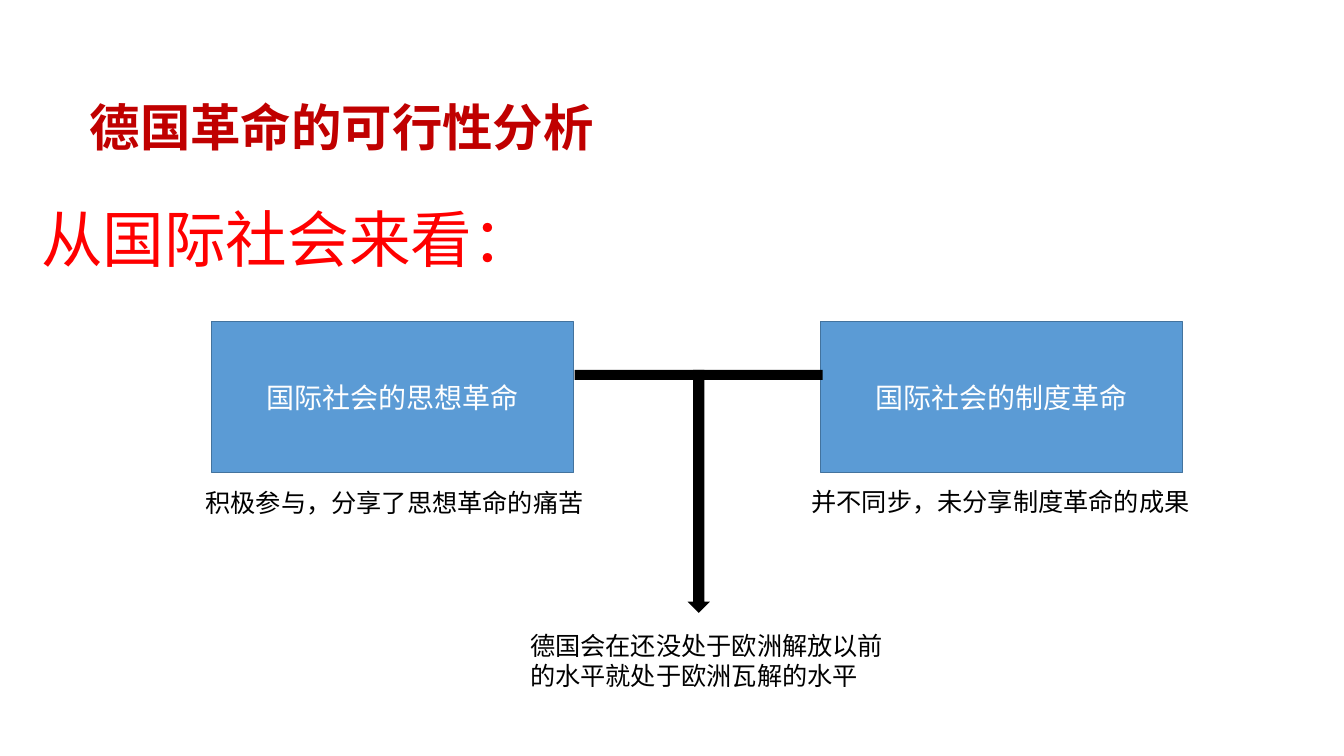
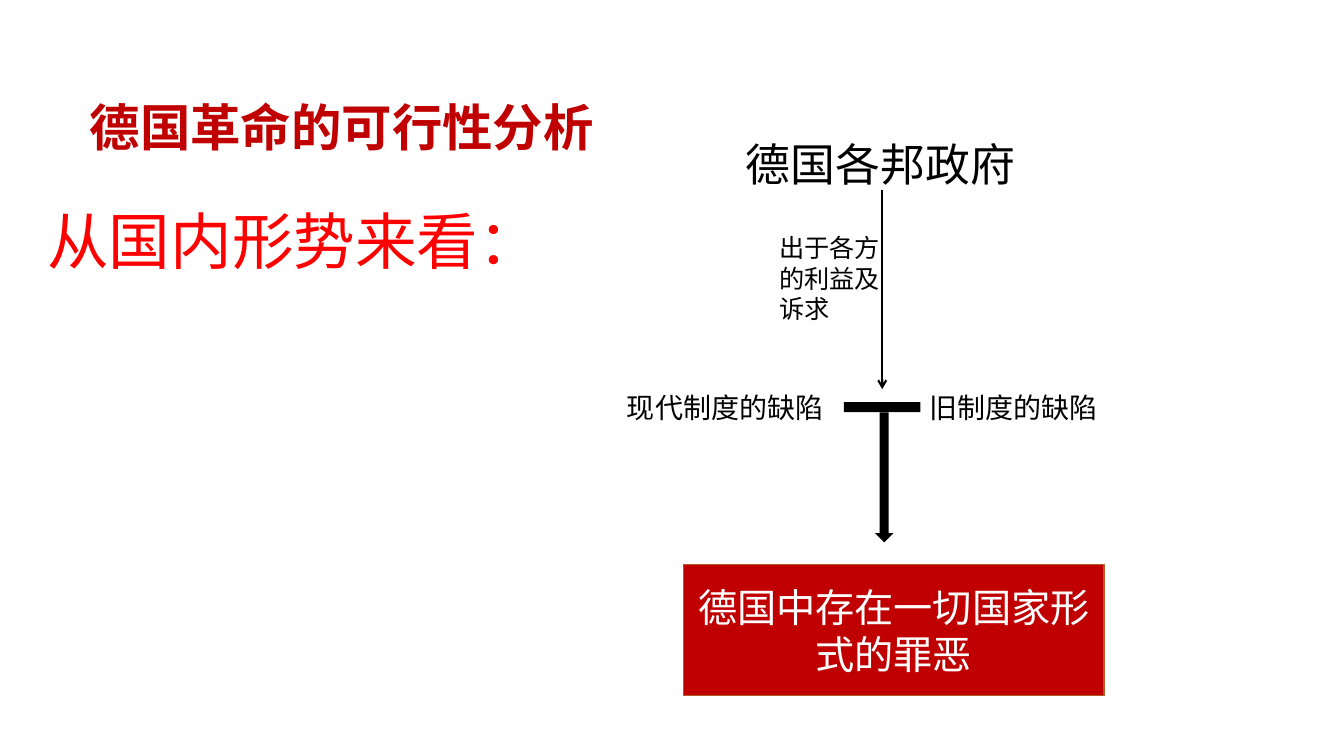
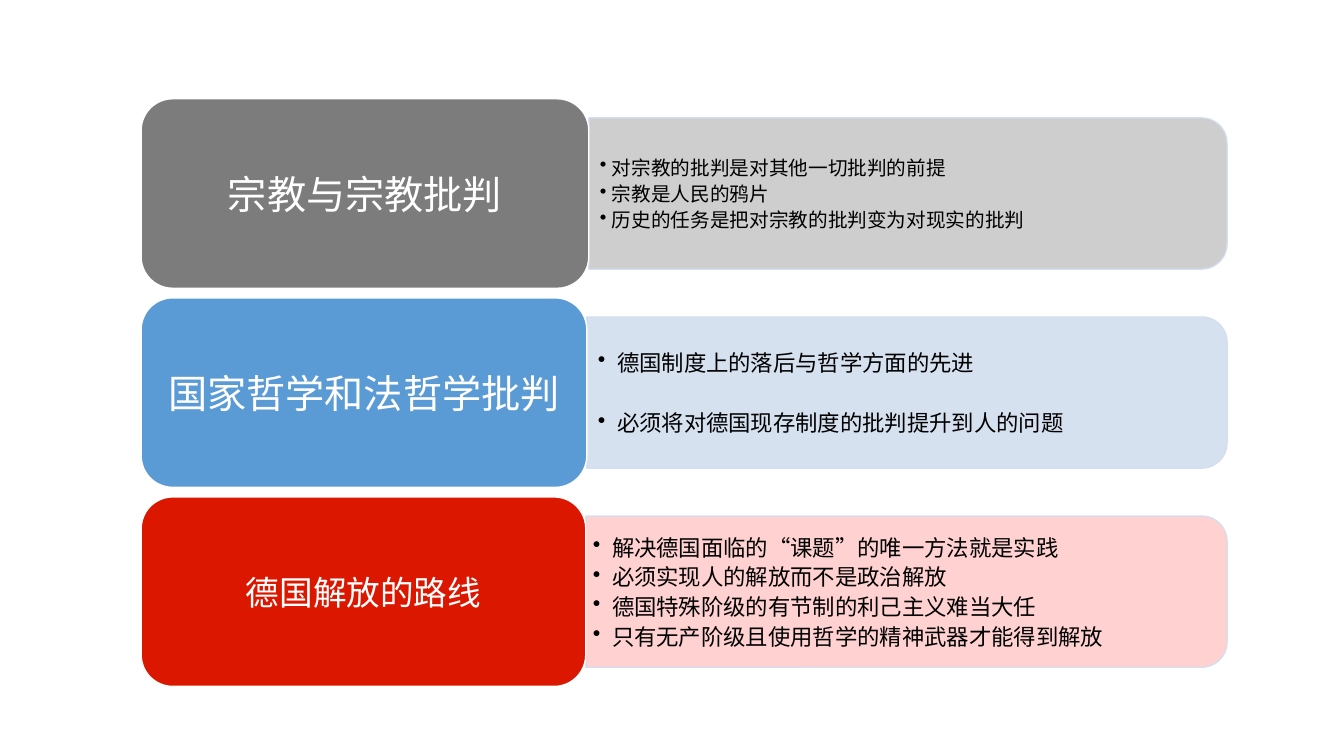
from lxml import etree
from pptx import Presentation
from pptx.dml.color import RGBColor
from pptx.enum import shapes, text
from pptx.oxml.ns import qn
from pptx.util import Inches, Pt

BLACK = RGBColor(0x00, 0x00, 0x00)
WHITE = RGBColor(0xFF, 0xFF, 0xFF)
DARK_RED = RGBColor(0xC0, 0x00, 0x00)
RED = RGBColor(0xFF, 0x00, 0x00)
BLUE = RGBColor(0x5B, 0x9B, 0xD5)
BLUE_EDGE = RGBColor(0x43, 0x73, 0x9E)
BROWN_EDGE = RGBColor(0xAF, 0x5C, 0x24)
PALE_BLUE = RGBColor(0xD2, 0xDE, 0xEF)
GREY = RGBColor(0x7C, 0x7C, 0x7C)
PALE_GREY = RGBColor(0xC9, 0xC9, 0xC9)
SCARLET = RGBColor(0xDC, 0x17, 0x00)
PINK = RGBColor(0xFF, 0xCC, 0xCC)

SC, JP, CALIBRI = "Noto Sans CJK SC", "Noto Sans CJK JP", "Calibri"
KIND = shapes.MSO_SHAPE
MIDDLE = text.MSO_ANCHOR.MIDDLE
CENTER = text.PP_ALIGN.CENTER

TITLE = "德国革命的可行性分析"

# box text, box left, caption, caption left, caption top
REVOLUTIONS = [
    ("国际社会的思想革命", 2.1, "积极参与，分享了思想革命的痛苦", 1.94, 4.79),
    ("国际社会的制度革命", 8.14, "并不同步，未分享制度革命的成果", 7.95, 4.78),
]
INTERNATIONAL_RESULT = "德国会在还没处于欧洲解放以前的水平就处于欧洲瓦解的水平"

# text, place, size, font
DOMESTIC_LABELS = [
    ("德国各邦政府", (7.3, 1.31, 4.44, 0.64), 32, JP),
    ("出于各方的利益及诉求", (7.63, 2.26, 1.21, 1.01), 18, SC),
    ("现代制度的缺陷", (6.12, 3.82, 2.25, 0.44), 20, JP),
    ("旧制度的缺陷", (9.12, 3.82, 1.99, 0.44), 20, JP),
]
DOMESTIC_RESULT = "德国中存在一切国家形式的罪恶"

THEMES = [
    dict(label="宗教与宗教批判", size=28, width=4.44, color=GREY, pale=PALE_GREY,
         points=["对宗教的批判是对其他一切批判的前提", "宗教是人民的鸦片",
                 "历史的任务是把对宗教的批判变为对现实的批判"],
         fmt=dict(size=14, indent=0.12, inset=0.11)),
    dict(label="国家哲学和法哲学批判", size=28, width=4.42, color=BLUE, pale=PALE_BLUE,
         points=["德国制度上的落后与哲学方面的先进",
                 "必须将对德国现存制度的批判提升到人的问题"],
         fmt=dict(size=16, indent=0.19, inset=0.11, gap=24)),
    dict(label="德国解放的路线", size=24, width=4.41, color=SCARLET, pale=PINK,
         points=["解决德国面临的“课题”的唯一方法就是实践", "必须实现人的解放而不是政治解放",
                 "德国特殊阶级的有节制的利己主义难当大任",
                 "只有无产阶级且使用哲学的精神武器才能得到解放"],
         fmt=dict(size=16, indent=0.19, inset=0.07)),
]


def write(sp, lines, size=18, font=SC, color=BLACK, bold=False, align=None, anchor=None,
          wrap=True, inset=0.1, inset_y=0.05, indent=0, gap=0):
    """Fill a shape with paragraphs; an indent makes them bulleted."""
    tf = sp.text_frame
    tf.word_wrap = wrap
    tf.vertical_anchor = anchor
    tf.margin_left = tf.margin_right = Inches(inset)
    tf.margin_top = tf.margin_bottom = Inches(inset_y)
    for i, line in enumerate(lines):
        p = tf.add_paragraph() if i else tf.paragraphs[0]
        p.alignment = align
        if gap:
            p.space_after = Pt(gap)
        if indent:
            pPr = p._p.get_or_add_pPr()
            pPr.set("marL", str(Inches(indent)))
            pPr.set("indent", str(-Inches(indent)))
            etree.SubElement(pPr, qn("a:buChar")).set("char", "•")
        r = p.add_run()
        r.text = line
        r.font.size, r.font.name, r.font.bold = Pt(size), font, bold
        r.font.color.rgb = color


def add_text(s, line, place, **fmt):
    sp = s.shapes.add_textbox(*map(Inches, place))
    write(sp, [line], **fmt)
    sp.text_frame.auto_size = text.MSO_AUTO_SIZE.SHAPE_TO_FIT_TEXT


def add_shape(s, kind, place, fill, edge=None):
    sp = s.shapes.add_shape(kind, *map(Inches, place))
    sp.shadow.inherit = False
    sp.fill.solid()
    sp.fill.fore_color.rgb = fill
    if edge is None:
        sp.line.fill.background()
    else:
        sp.line.color.rgb = edge
        sp.line.width = Pt(1)
    return sp


def add_box(s, line, place, fill, edge, kind=KIND.RECTANGLE, **fmt):
    sp = add_shape(s, kind, place, fill, edge)
    write(sp, [line], color=WHITE, align=CENTER, anchor=MIDDLE, **fmt)


def add_headings(s, subtitle, left, top):
    add_text(s, TITLE, (0.79, 0.9, 5.25, 0.71), size=36, color=DARK_RED, bold=True, wrap=False)
    add_text(s, subtitle, (left, top, 4.75, 0.84), size=44, color=RED)


def add_tee(s, bar, stem):
    add_shape(s, KIND.RECTANGLE, bar, BLACK)
    add_shape(s, KIND.DOWN_ARROW, stem, BLACK)


def add_thin_arrow(s, x, top, bottom):
    ln = s.shapes.add_connector(shapes.MSO_CONNECTOR.STRAIGHT,
                                Inches(x), Inches(top), Inches(x), Inches(bottom))
    ln.line.color.rgb = BLACK
    ln.line.width = Pt(1.5)
    etree.SubElement(ln.line._get_or_add_ln(), qn("a:tailEnd")).set("type", "arrow")
    etree.SubElement(ln._element.spPr, qn("a:effectLst"))


def add_panel(s, left, top, width, height, fill):
    """A translucent panel rounded on its right side: a top-rounded shape turned a quarter."""
    sp = add_shape(s, KIND.ROUND_2_SAME_RECTANGLE,
                   (left + (width - height) / 2, top - (width - height) / 2, height, width),
                   fill, PALE_BLUE)
    sp.rotation = 90
    for clr in sp._element.spPr.iter(qn("a:srgbClr")):
        etree.SubElement(clr, qn("a:alpha")).set("val", "90000")


def international_slide(s):
    add_headings(s, "从国际社会来看：", 0.31, 1.94)
    for label, left, caption, caption_left, caption_top in REVOLUTIONS:
        add_box(s, label, (left, 3.19, 3.59, 1.5), BLUE, BLUE_EDGE, size=20, font=CALIBRI)
        add_text(s, caption, (caption_left, caption_top, 4.44, 0.4))
    add_tee(s, (5.7, 3.67, 2.46, 0.1), (6.82, 3.67, 0.22, 2.41))
    add_text(s, INTERNATIONAL_RESULT, (5.16, 6.2, 3.72, 0.71))


def domestic_slide(s):
    add_headings(s, "从国内形势来看：", 0.37, 1.96)
    for label, place, size, font in DOMESTIC_LABELS:
        add_text(s, label, place, size=size, font=font)
    add_thin_arrow(s, 8.75, 1.89, 3.86)
    add_tee(s, (8.37, 3.99, 0.76, 0.1), (8.68, 4.09, 0.18, 1.29))
    add_box(s, DOMESTIC_RESULT, (6.78, 5.6, 4.17, 1.3), DARK_RED, BROWN_EDGE, size=28, font=JP)


def themes_slide(s):
    left, top, height, pitch, right = 1.4, 0.98, 1.88, 1.975, 12.17
    panel_height = 1.5
    for i, theme in enumerate(THEMES):
        y = top + i * pitch
        x = left + theme["width"]
        panel_top = y + (height - panel_height) / 2
        add_panel(s, x, panel_top, right - x, panel_height, theme["pale"])
        points = s.shapes.add_textbox(*map(Inches, (x, panel_top + 0.07, right - x - 0.07, 1.36)))
        write(points, theme["points"], **{"anchor": MIDDLE, "inset_y": 0.03, "gap": 2,
                                          **theme["fmt"]})
        add_box(s, theme["label"], (left, y, theme["width"], height), theme["color"], WHITE,
                kind=KIND.ROUNDED_RECTANGLE, size=theme["size"])


def main():
    prs = Presentation()
    prs.slide_width, prs.slide_height = Inches(13.33), Inches(7.5)
    for build in (international_slide, domestic_slide, themes_slide):
        build(prs.slides.add_slide(prs.slide_layouts[6]))
    prs.save("out.pptx")


if __name__ == "__main__":
    main()
